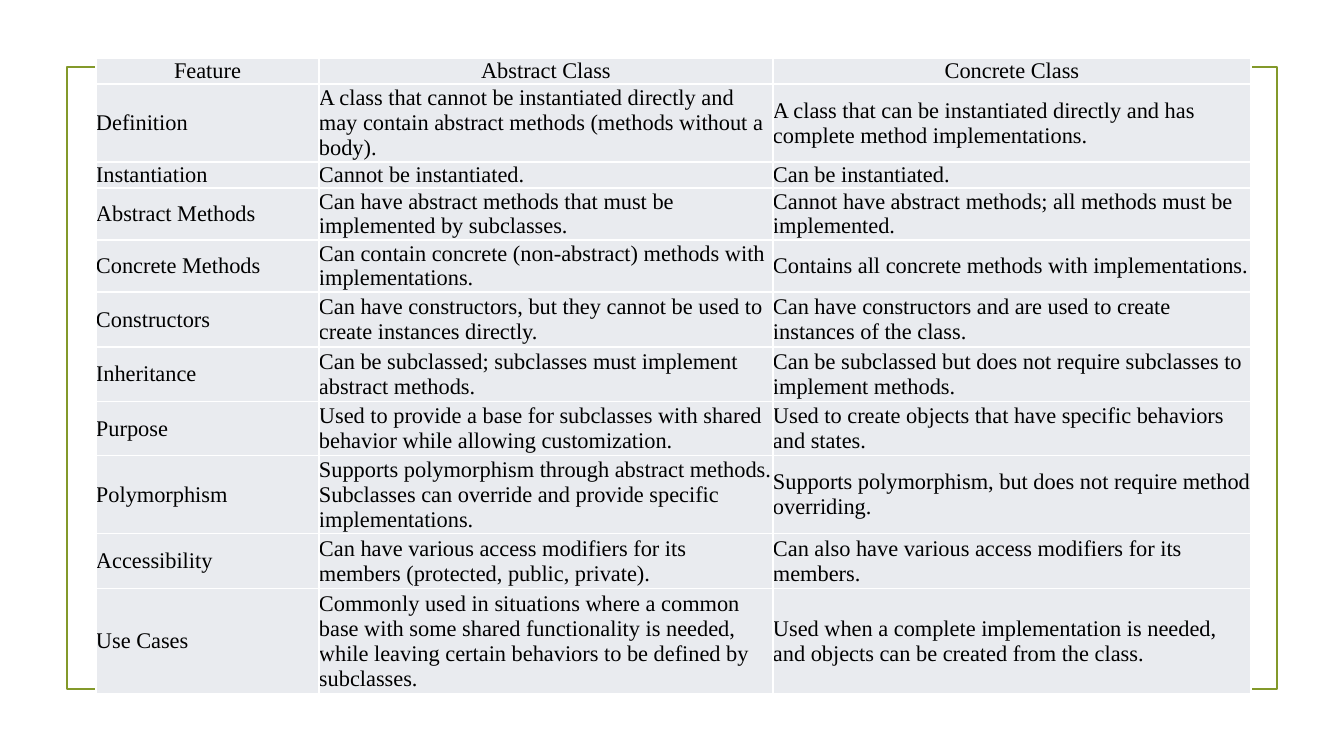
from pptx import Presentation
from pptx.dml.color import RGBColor
from pptx.enum.shapes import MSO_SHAPE as Shape
from pptx.enum.text import MSO_ANCHOR as Anchor, PP_ALIGN as Align
from pptx.oxml import parse_xml
from pptx.oxml.ns import nsdecls
from pptx.util import Pt

COLORS = {"frame": "83992A", "cell": "E9EBEF", "border": "FFFFFF", "text": "000000"}
FONT = {"name": "Times New Roman", "size": Pt(16)}
CELL = {"vertical_anchor": Anchor.MIDDLE, "margin_left": 0, "margin_right": 0,
        "margin_top": 0, "margin_bottom": 0}
COLUMN_WIDTHS = [223, 454, 478]
ROWS = [
    (26, "Feature", "Abstract Class", "Concrete Class"),
    (78, "Definition",
     "A class that cannot be instantiated directly and may contain abstract methods (methods without a body).",
     "A class that can be instantiated directly and has complete method implementations."),
    (26, "Instantiation", "Cannot be instantiated.", "Can be instantiated."),
    (52, "Abstract Methods",
     "Can have abstract methods that must be implemented by subclasses.",
     "Cannot have abstract methods; all methods must be implemented."),
    (52, "Concrete Methods",
     "Can contain concrete (non-abstract) methods with implementations.",
     "Contains all concrete methods with implementations."),
    (55, "Constructors",
     "Can have constructors, but they cannot be used to create instances directly.",
     "Can have constructors and are used to create instances of the class."),
    (55, "Inheritance",
     "Can be subclassed; subclasses must implement abstract methods.",
     "Can be subclassed but does not require subclasses to implement methods."),
    (54, "Purpose",
     "Used to provide a base for subclasses with shared behavior while allowing customization.",
     "Used to create objects that have specific behaviors and states."),
    (78, "Polymorphism",
     "Supports polymorphism through abstract methods. Subclasses can override and provide specific implementations.",
     "Supports polymorphism, but does not require method overriding."),
    (55, "Accessibility",
     "Can have various access modifiers for its members (protected, public, private).",
     "Can also have various access modifiers for its members."),
    (105, "Use Cases",
     "Commonly used in situations where a common base with some shared functionality is needed, "
     "while leaving certain behaviors to be defined by subclasses.",
     "Used when a complete implementation is needed, and objects can be created from the class."),
]


def px(length):
    return round(length * 914400 / 100.8)


def color(name):
    return RGBColor.from_string(COLORS[name])


deck = Presentation()
deck.slide_width, deck.slide_height = px(1344), px(756)
slide = deck.slides.add_slide(deck.slide_layouts[6])

frame = slide.shapes.add_shape(Shape.RECTANGLE, px(67), px(67), px(1210), px(622))
frame.shadow.inherit = False
frame.fill.background()
frame.line.color.rgb = color("frame")
frame.line.width = Pt(1.25)

table_width = sum(COLUMN_WIDTHS)
table_height = sum(row[0] for row in ROWS)
table = slide.shapes.add_table(len(ROWS), len(COLUMN_WIDTHS), px(96), px(58),
                               px(table_width), px(table_height)).table
for column, width in zip(table.columns, COLUMN_WIDTHS):
    column.width = px(width)

for row_index, (height, *texts) in enumerate(ROWS):
    table.rows[row_index].height = px(height)
    for column_index, text in enumerate(texts):
        cell = table.cell(row_index, column_index)
        for name, value in CELL.items():
            setattr(cell, name, value)
        properties = cell._tc.get_or_add_tcPr()
        for side in ("lnL", "lnR", "lnT", "lnB"):
            properties.append(parse_xml(
                f'<a:{side} {nsdecls("a")} w="{Pt(1)}"><a:solidFill>'
                f'<a:srgbClr val="{COLORS["border"]}"/></a:solidFill></a:{side}>'))
        cell.fill.solid()
        cell.fill.fore_color.rgb = color("cell")
        para = cell.text_frame.paragraphs[0]
        para.alignment = Align.CENTER if row_index == 0 else Align.LEFT
        span = para.add_run()
        span.text = text
        for name, value in FONT.items():
            setattr(span.font, name, value)
        span.font.bold = False
        span.font.color.rgb = color("text")

deck.save("out.pptx")
